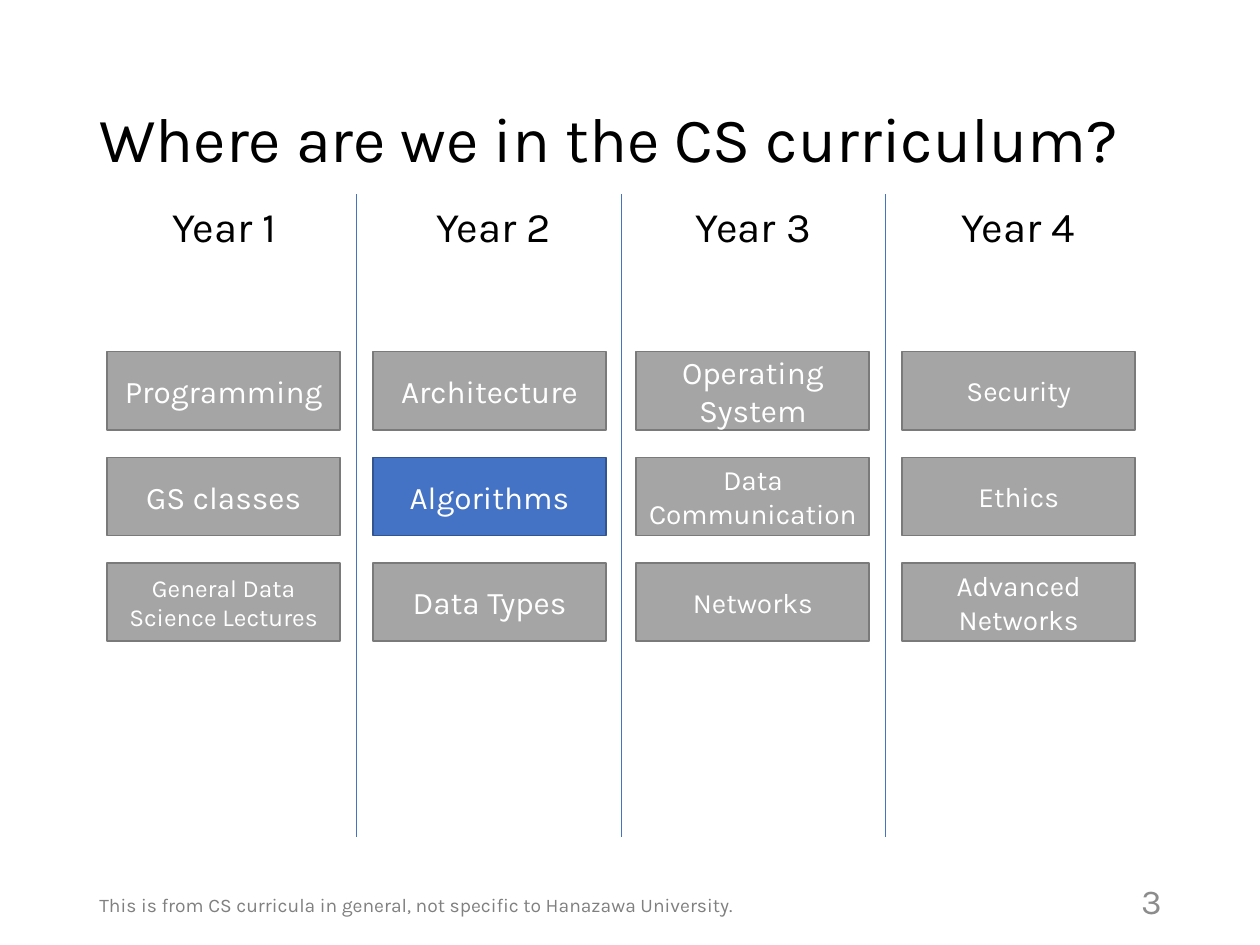
"""Build a slide that places the algorithms course within a four-year CS curriculum."""
from lxml.etree import SubElement
from pptx import Presentation
from pptx.dml.color import RGBColor
from pptx.enum.shapes import MSO_CONNECTOR as Link, MSO_SHAPE as Form
from pptx.enum.text import MSO_ANCHOR as Anchor, PP_ALIGN as Align
from pptx.oxml.ns import qn
from pptx.util import Inches, Pt

COLORS = {
    "title": "000000",
    "course": "A5A5A5",
    "edge": "7A7A7A",
    "focus": "4472C4",
    "rim": "325491",
    "label": "FFFFFF",
    "note": "808080",
    "page": "8C8C8C",
}
YEARS = [
    ("Year 1", 1.03, 0.85, [("Programming", 18), ("GS classes", 18), ("General Data Science Lectures", 14)]),
    ("Year 2", 3.17, 2.96, [("Architecture", 18), ("Algorithms", 18), ("Data Types", 18)]),
    ("Year 3", 5.23, 5.05, [("Operating System", 18), ("Data Communication", 16), ("Networks", 16)]),
    ("Year 4", 7.33, 7.16, [("Security", 16), ("Ethics", 16), ("Advanced Networks", 16)]),
]


def color(name):
    return RGBColor.from_string(COLORS[name])


def write(shape, text, size, tone, align=Align.CENTER, anchor=Anchor.MIDDLE):
    frame = shape.text_frame
    frame.word_wrap = True
    frame.vertical_anchor = anchor
    para = frame.paragraphs[0]
    para.alignment = align
    run = para.add_run()
    run.text = text
    run.font.name = "Karla"
    run.font.size = Pt(size)
    run.font.color.rgb = color(tone)


deck = Presentation()
deck.slide_width, deck.slide_height = Inches(10), Inches(7.5)
slide = deck.slides.add_slide(deck.slide_layouts[5])
shapes = slide.shapes

title = shapes.title
title.left, title.top = Inches(0.69), Inches(0.4)
title.width, title.height = Inches(8.62), Inches(1.45)
write(title, "Where are we in the CS curriculum?", 36, "title", Align.LEFT)
title.text_frame.paragraphs[0].line_spacing = 0.9

for year, head_x, box_x, courses in YEARS:
    head = shapes.add_textbox(Inches(head_x), Inches(1.54), Inches(1.5), Inches(0.5))
    write(head, year, 24, "title", anchor=Anchor.TOP)
    for row, (course, size) in enumerate(courses):
        box = shapes.add_shape(
            Form.RECTANGLE, Inches(box_x), Inches(2.79 + 0.84 * row), Inches(1.85), Inches(0.62)
        )
        focus = course == "Algorithms"
        box.shadow.inherit = False
        box.fill.solid()
        box.fill.fore_color.rgb = color("focus" if focus else "course")
        box.line.color.rgb = color("rim" if focus else "edge")
        box.line.width = Pt(1)
        write(box, course, size, "label")

for col in range(3):
    x = Inches(2.83 + 2.1 * col)
    rule = shapes.add_connector(Link.STRAIGHT, x, Inches(1.54), x, Inches(6.64))
    rule.line.color.rgb = color("focus")
    rule.line.width = Pt(0.5)
    SubElement(rule._element.spPr, qn("a:effectLst"))

note = shapes.add_textbox(Inches(0.69), Inches(7.03), Inches(7.95), Inches(0.29))
write(
    note,
    "This is from CS curricula in general, not specific to Hanazawa University.",
    11, "note", Align.LEFT, Anchor.BOTTOM,
)
page = shapes.add_textbox(Inches(8.65), Inches(6.95), Inches(0.67), Inches(0.4))
write(page, "3", 20, "page", Align.RIGHT)

deck.save("out.pptx")
